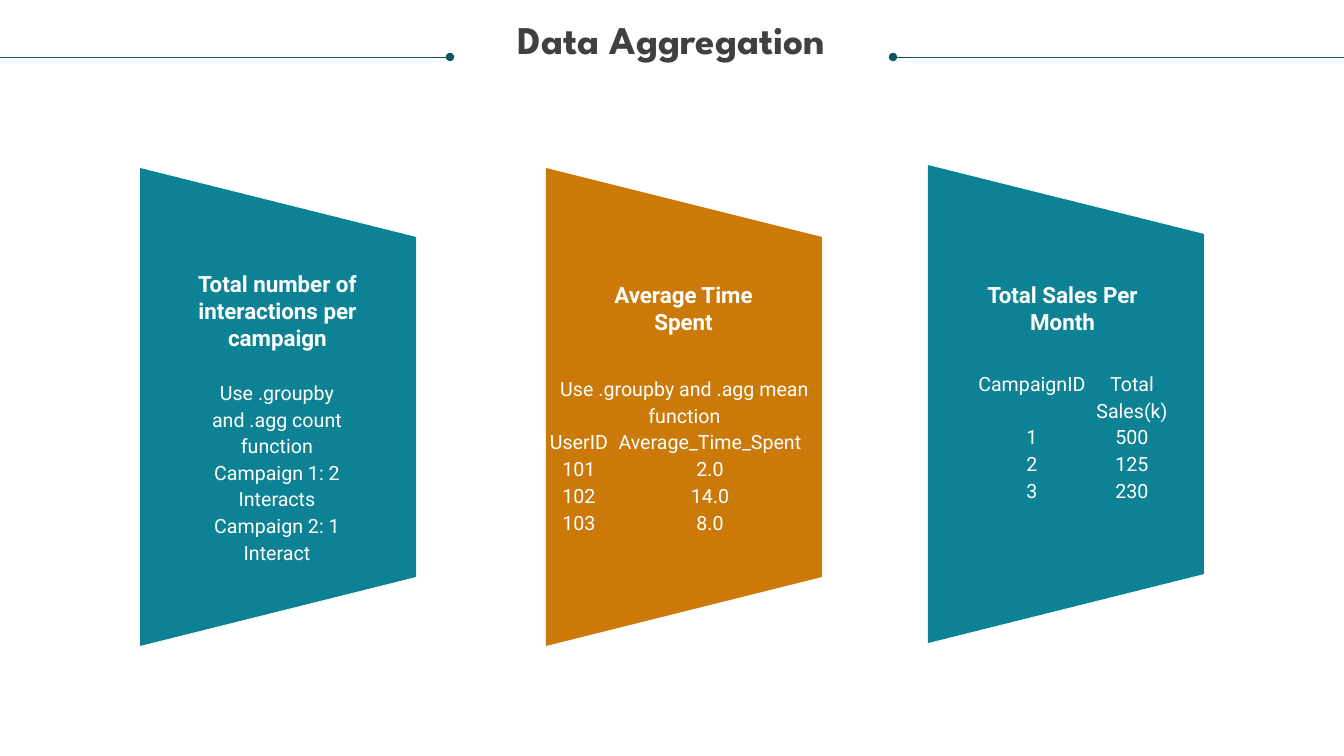
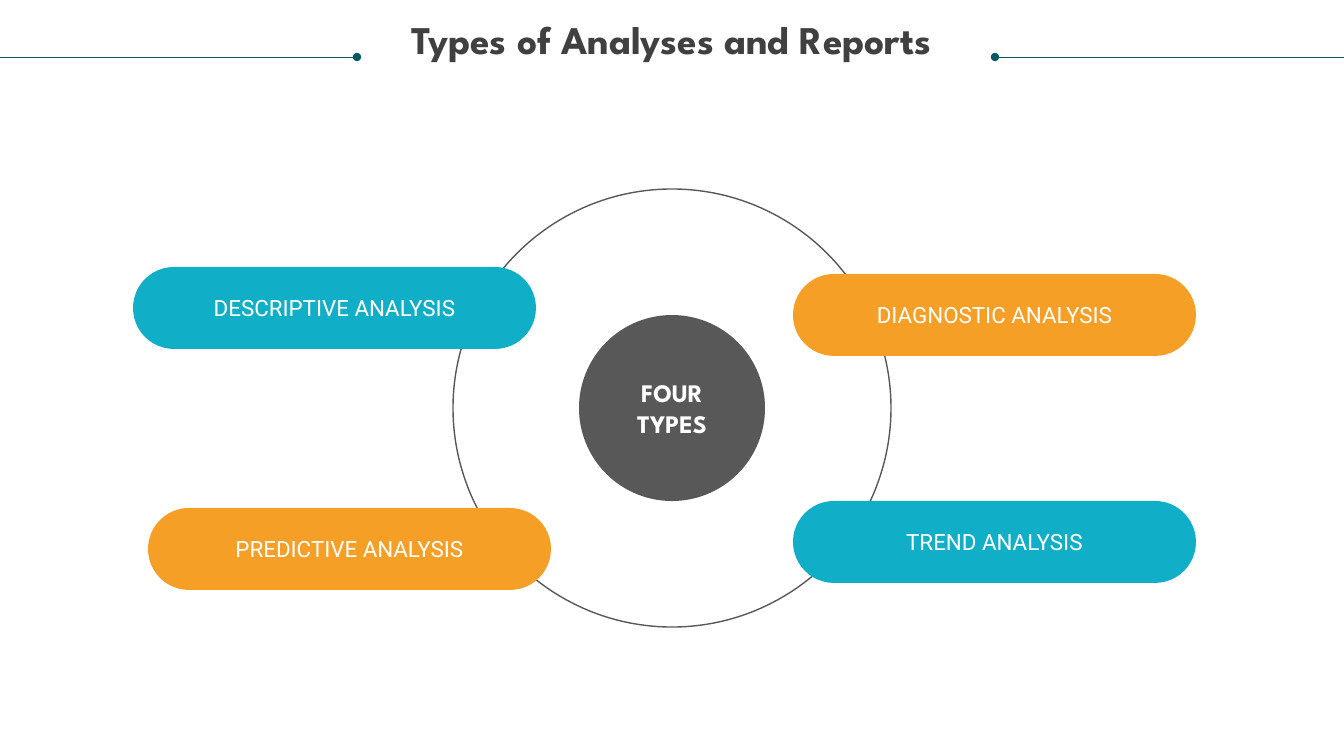
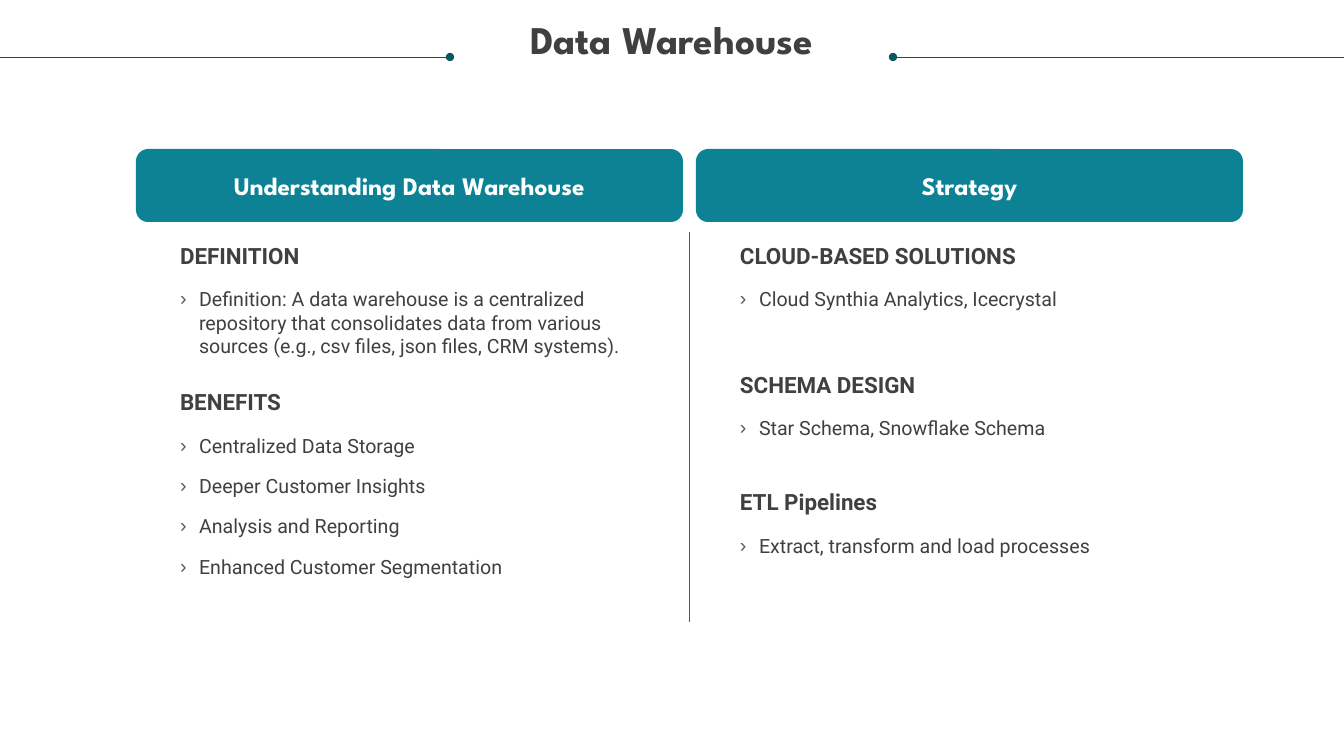
"""Build three slides on data aggregation, analysis types and data warehousing."""
import pptx
import pptx.dml.color
import pptx.enum.shapes
import pptx.enum.text
import pptx.oxml.ns
import pptx.util
from lxml import etree

SHAPE = pptx.enum.shapes.MSO_SHAPE
ALIGN = pptx.enum.text.PP_ALIGN
ANCHOR = pptx.enum.text.MSO_ANCHOR
qn = pptx.oxml.ns.qn

SLIDE_W, SLIDE_H = 1344, 756
EMU_PER_PX = 12192000 / SLIDE_W
HEADING_FONT, BODY_FONT = "League Spartan", "Roboto"
DETAIL_SPACING = pptx.util.Pt(19)
COLORS = {
    "ink": "404040", "gray": "585858", "white": "FFFFFF", "rule": "085764",
    "teal": "0D8295", "brown": "CB7A09", "cyan": "11AEC7", "orange": "F59F26",
}

AGGREGATION = {
    "title": "Data Aggregation",
    "rule_ends": (450, 893),
    "card_size": (276, 478),
    "row_height": 27,
    "cards": [
        {
            "at": (140, 168), "fill": "teal",
            "heading": "Total number of interactions per campaign",
            "heading_box": (158, 270, 239, 82),
            "detail_box": (204, 378, 146, 190),
            "details": ["Use .groupby and .agg count function",
                        "Campaign 1: 2 Interacts", "Campaign 2: 1 Interact"],
        },
        {
            "at": (546, 168), "fill": "brown",
            "heading": "Average Time Spent",
            "heading_box": (608, 281, 151, 54),
            "detail_box": (548, 374, 273, 54),
            "details": ["Use .groupby and .agg mean function"],
            "table_at": (548, 428),
            "column_widths": (62, 200),
            "rows": [("UserID", "Average_Time_Spent"),
                     ("101", "2.0"), ("102", "14.0"), ("103", "8.0")],
        },
        {
            "at": (928, 165), "fill": "teal",
            "heading": "Total Sales Per Month",
            "heading_box": (987, 281, 151, 54),
            "table_at": (974, 370),
            "column_widths": (116, 84),
            "rows": [("CampaignID", "Total Sales(k)"),
                     ("1", "500"), ("2", "125"), ("3", "230")],
        },
    ],
}

ANALYSES = {
    "title": "Types of Analyses and Reports",
    "rule_ends": (357, 995),
    "hub": "FOUR TYPES",
    "center": (672, 408),
    "ring_size": 438,
    "hub_size": 186,
    "pill_size": (403, 82),
    "pills": [
        ("DIAGNOSTIC ANALYSIS", 793, 274, "orange"),
        ("TREND ANALYSIS", 793, 501, "cyan"),
        ("DESCRIPTIVE ANALYSIS", 133, 267, "cyan"),
        ("PREDICTIVE ANALYSIS", 148, 508, "orange"),
    ],
}

WAREHOUSE = {
    "title": "Data Warehouse",
    "rule_ends": (450, 893),
    "left": 136,
    "pitch": 560,
    "header_size": (547, 73),
    "columns": [
        ("Understanding Data Warehouse", [
            ("DEFINITION", 0, [
                "Definition: A data warehouse is a centralized repository that "
                "consolidates data from various sources (e.g., csv files, json "
                "files, CRM systems)."]),
            ("BENEFITS", 22, [
                "Centralized Data Storage", "Deeper Customer Insights",
                "Analysis and Reporting", "Enhanced Customer Segmentation"]),
        ]),
        ("Strategy", [
            ("CLOUD-BASED SOLUTIONS", 0, ["Cloud Synthia Analytics, Icecrystal"]),
            ("SCHEMA DESIGN", 43, ["Star Schema, Snowflake Schema"]),
            ("ETL Pipelines", 35, ["Extract, transform and load processes"]),
        ]),
    ],
}


def px(length):
    return pptx.util.Emu(round(length * EMU_PER_PX))


def rgb(name):
    return pptx.dml.color.RGBColor.from_string(COLORS[name])


def write(frame, text, size=14, font=BODY_FONT, color="white", bold=False,
          align=ALIGN.LEFT, spacing=1.0, before=0, bullet=None):
    """Add one formatted paragraph to a text frame."""
    paragraph = frame.paragraphs[0]
    if paragraph.runs:
        paragraph = frame.add_paragraph()
    run = paragraph.add_run()
    run.text = text
    run.font.size = pptx.util.Pt(size)
    run.font.name = font
    run.font.bold = bold
    run.font.color.rgb = rgb(color)
    paragraph.alignment = align
    paragraph.line_spacing = spacing
    paragraph.space_before = pptx.util.Pt(before)
    properties = paragraph._p.get_or_add_pPr()
    indent = px(19) if bullet else 0
    properties.set("marL", str(indent))
    properties.set("indent", str(-indent))
    if bullet:
        bullet_color = etree.SubElement(properties, qn("a:buClr"))
        etree.SubElement(bullet_color, qn("a:srgbClr"), val=COLORS["gray"])
        etree.SubElement(properties, qn("a:buChar"), char=bullet)
    else:
        etree.SubElement(properties, qn("a:buNone"))


def clear_margins(holder):
    holder.margin_left = holder.margin_right = 0
    holder.margin_top = holder.margin_bottom = 0


def plain_frame(holder):
    frame = holder.text_frame
    frame.word_wrap = True
    frame.auto_size = pptx.enum.text.MSO_AUTO_SIZE.NONE
    frame.vertical_anchor = ANCHOR.TOP
    clear_margins(frame)
    return frame


def place(holder, x, y, w, h):
    holder.left, holder.top, holder.width, holder.height = map(px, (x, y, w, h))
    return plain_frame(holder)


def add_text_frame(slide, box):
    return plain_frame(slide.shapes.add_textbox(*map(px, box)))


def add_block(slide, kind, x, y, w, h, fill=None, outline=None):
    block = slide.shapes.add_shape(kind, *map(px, (x, y, w, h)))
    block.shadow.inherit = False
    if fill:
        block.fill.solid()
        block.fill.fore_color.rgb = rgb(fill)
    else:
        block.fill.background()
    if outline:
        block.line.color.rgb = rgb(outline)
        block.line.width = pptx.util.Pt(1)
    else:
        block.line.fill.background()
    block.text_frame.vertical_anchor = ANCHOR.MIDDLE
    return block


def add_rule(slide, start, end, color, dot=False):
    rule = slide.shapes.add_connector(
        pptx.enum.shapes.MSO_CONNECTOR.STRAIGHT, *map(px, start + end))
    rule.line.color.rgb = rgb(color)
    rule.line.width = pptx.util.Pt(0.5)
    if dot:
        etree.SubElement(rule.line._get_or_add_ln(), qn("a:tailEnd"), type="oval")
    etree.SubElement(rule._element.spPr, qn("a:effectLst"))


def add_clear_table(slide, at, column_widths, rows, row_height):
    """Add a table without fills or borders."""
    size = (sum(column_widths), row_height * len(rows))
    table = slide.shapes.add_table(
        len(rows), len(column_widths), *map(px, at + size)).table
    table.first_row = table.horz_banding = False
    for column, width in zip(table.columns, column_widths):
        column.width = px(width)
    for row, values in zip(table.rows, rows):
        row.height = px(row_height)
        for cell, value in zip(row.cells, values):
            clear_margins(cell)
            properties = cell._tc.get_or_add_tcPr()
            for side in ("a:lnL", "a:lnR", "a:lnT", "a:lnB"):
                border = etree.SubElement(properties, qn(side), w="0")
                etree.SubElement(border, qn("a:noFill"))
            cell.fill.background()
            write(cell.text_frame, value, align=ALIGN.CENTER, spacing=DETAIL_SPACING)


def start_slide(deck, layout, content):
    slide = deck.slides.add_slide(deck.slide_layouts.get_by_name(layout))
    write(place(slide.shapes.title, 25, 21, 1293, 86), content["title"], size=28,
          font=HEADING_FONT, color="ink", bold=True, align=ALIGN.CENTER, spacing=0.9)
    for edge, dot_x in zip((0, SLIDE_W), content["rule_ends"]):
        add_rule(slide, (edge, 57), (dot_x, 57), "rule", dot=True)
    return slide


def build_aggregation(deck):
    slide = start_slide(deck, "Title Only", AGGREGATION)
    card_w, card_h = AGGREGATION["card_size"]
    turn = (card_h - card_w) / 2
    for card in AGGREGATION["cards"]:
        x, y = card["at"]
        panel = add_block(slide, SHAPE.TRAPEZOID, x - turn, y + turn,
                          card_h, card_w, card["fill"])
        panel.rotation = 90
        write(add_text_frame(slide, card["heading_box"]), card["heading"],
              size=16, bold=True, align=ALIGN.CENTER)
        if "details" in card:
            details = add_text_frame(slide, card["detail_box"])
            for detail in card["details"]:
                write(details, detail, align=ALIGN.CENTER, spacing=DETAIL_SPACING)
        if "rows" in card:
            add_clear_table(slide, card["table_at"], card["column_widths"],
                            card["rows"], AGGREGATION["row_height"])


def build_analyses(deck):
    slide = start_slide(deck, "Title Only", ANALYSES)
    center_x, center_y = ANALYSES["center"]

    def add_circle(size, **style):
        return add_block(slide, SHAPE.OVAL, center_x - size / 2,
                         center_y - size / 2, size, size, **style)

    add_circle(ANALYSES["ring_size"], outline="gray")
    hub = add_circle(ANALYSES["hub_size"], fill="gray")
    write(hub.text_frame, ANALYSES["hub"], size=18, font=HEADING_FONT, bold=True,
          align=ALIGN.CENTER)
    for name, x, y, fill in ANALYSES["pills"]:
        pill = add_block(slide, SHAPE.ROUNDED_RECTANGLE, x, y,
                         *ANALYSES["pill_size"], fill=fill)
        pill.adjustments[0] = 0.5
        write(pill.text_frame, name, size=16, align=ALIGN.CENTER)


def build_warehouse(deck):
    slide = start_slide(deck, "Two Content", WAREHOUSE)
    left, pitch = WAREHOUSE["left"], WAREHOUSE["pitch"]
    header_w, header_h = WAREHOUSE["header_size"]
    for number, (name, sections) in enumerate(WAREHOUSE["columns"]):
        x = left + number * pitch
        header = add_block(slide, SHAPE.ROUNDED_RECTANGLE, x, 149,
                           header_w, header_h, "teal")
        write(header.text_frame, name, size=18, font=HEADING_FONT, bold=True,
              align=ALIGN.CENTER)
        body = place(slide.placeholders[number + 1], x + 44, 242, 459, 360)
        for heading, gap, points in sections:
            write(body, heading, size=16, color="ink", bold=True, before=gap)
            for position, point in enumerate(points):
                write(body, point, color="ink", bullet="›",
                      before=12 if position else 13)
    divider_x = left + (header_w + pitch) / 2
    add_rule(slide, (divider_x, 232), (divider_x, 622), "gray")


def main():
    deck = pptx.Presentation()
    deck.slide_width, deck.slide_height = px(SLIDE_W), px(SLIDE_H)
    for build in (build_aggregation, build_analyses, build_warehouse):
        build(deck)
    deck.save("out.pptx")


if __name__ == "__main__":
    main()
